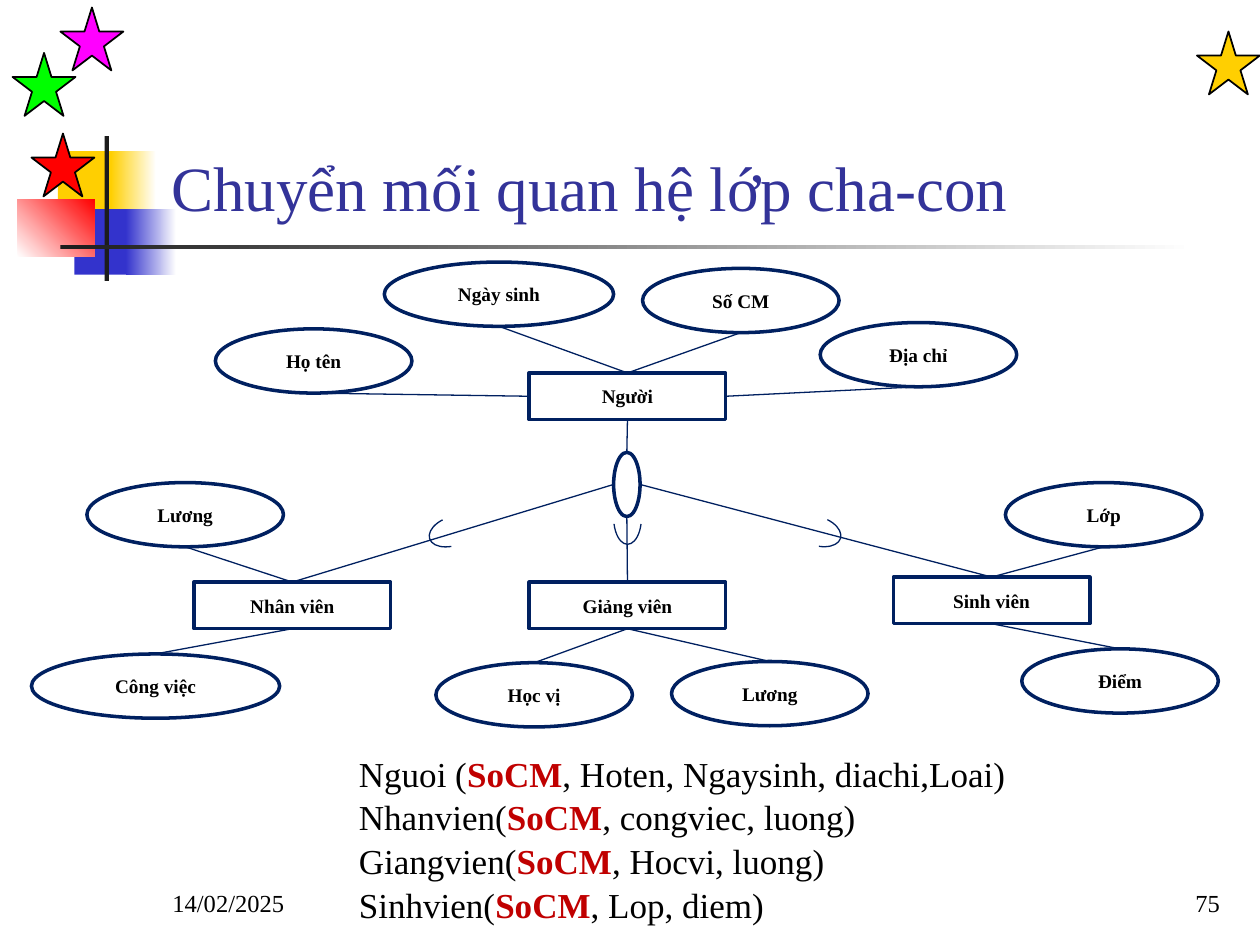
from typing import NamedTuple, Optional

from lxml import etree
from pptx import Presentation
from pptx.dml.color import RGBColor
from pptx.enum.shapes import MSO_CONNECTOR, MSO_SHAPE
from pptx.enum.text import MSO_ANCHOR, MSO_AUTO_SIZE, PP_ALIGN
from pptx.oxml.ns import qn
from pptx.util import Inches, Pt

RECT, OVAL = MSO_SHAPE.RECTANGLE, MSO_SHAPE.OVAL
STAR, ARC = MSO_SHAPE.STAR_5_POINT, MSO_SHAPE.ARC
STRAIGHT = MSO_CONNECTOR.STRAIGHT
LEFT, CENTER, RIGHT = PP_ALIGN.LEFT, PP_ALIGN.CENTER, PP_ALIGN.RIGHT
TOP_ANCHOR, MIDDLE, BOTTOM_ANCHOR = MSO_ANCHOR.TOP, MSO_ANCHOR.MIDDLE, MSO_ANCHOR.BOTTOM
TOP_SIDE, LEFT_SIDE, BOTTOM_SIDE, RIGHT_SIDE = range(4)

SLIDE_W, SLIDE_H = Inches(10), Inches(7.5)
COL, ROW = SLIDE_W / 100, SLIDE_H / 75
FONT = "Times New Roman"
BLACK, WHITE, NAVY, KEY_RED = "000000", "FFFFFF", "002060", "C00000"
TITLE_BLUE, YELLOW, BLUE, RED, DARK = "333399", "FFCF01", "3333CC", "FF0000", "1C1C1C"
NODE_W, ENTITY_H, ATTRIBUTE_H = 15.6, 3.7, 5.1


class Box(NamedTuple):
    """Left, top, width and height in grid columns and rows."""
    col: float
    row: float
    cols: float
    rows: float

    def emu(self):
        return (round(self.col * COL), round(self.row * ROW),
                round(self.cols * COL), round(self.rows * ROW))


class Bar(NamedTuple):
    box: Box
    color: str
    fade_to: Optional[str] = None
    angle: int = 0


class Star(NamedTuple):
    col: float
    row: float
    color: str


class Entity(NamedTuple):
    label: str
    col: float
    row: float


class Attribute(NamedTuple):
    label: str
    entity: str
    side: int
    col: float
    row: float
    cols: float = NODE_W


class Subclass(NamedTuple):
    entity: str
    start_col: float
    start_row: float
    arc: Box
    turn: float


class Run(NamedTuple):
    text: str
    color: str = BLACK
    bold: bool = False


BARS = [
    Bar(Box(4.6, 12, 4.8, 5.2), YELLOW),
    Bar(Box(8.8, 12, 3.6, 5.2), YELLOW, WHITE),
    Bar(Box(5.9, 16.6, 4.6, 5.2), BLUE),
    Bar(Box(10, 16.6, 4, 5.2), BLUE, WHITE),
    Bar(Box(1.4, 15.8, 6.1, 4.6), WHITE, RED, 45),
    Bar(Box(8.3, 10.8, 0.35, 11.5), DARK),
    Bar(Box(4.8, 19.45, 90, 0.35), DARK, WHITE),
]
STARS = [Star(95, 2.5, YELLOW), Star(2.5, 10.6, RED),
         Star(1, 4.2, "00FF00"), Star(4.8, 0.6, "FF00FF")]
ENTITIES = [Entity("Người", 42, 29.6), Entity("Sinh viên", 70.9, 45.8),
            Entity("Giảng viên", 42, 46.2), Entity("Nhân viên", 15.4, 46.2)]
ATTRIBUTES = [
    Attribute("Họ tên", "Người", LEFT_SIDE, 17.1, 26.1),
    Attribute("Ngày sinh", "Người", TOP_SIDE, 30.5, 20.8, 18.2),
    Attribute("Số CM", "Người", TOP_SIDE, 51, 21.3),
    Attribute("Địa chỉ", "Người", RIGHT_SIDE, 65.1, 25.6),
    Attribute("Lương", "Nhân viên", TOP_SIDE, 6.9, 38.3),
    Attribute("Công việc", "Nhân viên", BOTTOM_SIDE, 2.5, 51.9, 19.7),
    Attribute("Học vị", "Giảng viên", BOTTOM_SIDE, 34.6, 52.6),
    Attribute("Lương", "Giảng viên", BOTTOM_SIDE, 53.3, 52.5),
    Attribute("Lớp", "Sinh viên", TOP_SIDE, 79.8, 38.3),
    Attribute("Điểm", "Sinh viên", BOTTOM_SIDE, 81.1, 51.5),
]
HUB = Box(48.7, 35.9, 2.1, 5.1)
HUB_MID_COL, HUB_MID_ROW = HUB.col + HUB.cols / 2, HUB.row + HUB.rows / 2
SUBCLASSES = [
    Subclass("Nhân viên", HUB.col, HUB_MID_ROW, Box(34, 41, 3.9, 2.3), 161.6),
    Subclass("Giảng viên", HUB_MID_COL, HUB.row + HUB.rows, Box(47.7, 40, 4.2, 2.2), 90),
    Subclass("Sinh viên", HUB.col + HUB.cols, HUB_MID_ROW, Box(62.9, 41, 3.9, 2.3), 17.5),
]
RELATIONS = [("Nguoi", "Hoten, Ngaysinh, diachi,Loai"), ("Nhanvien", "congviec, luong"),
             ("Giangvien", "Hocvi, luong"), ("Sinhvien", "Lop, diem")]


def rgb(color: str) -> RGBColor:
    return RGBColor.from_string(color)


def write(frame, paragraphs: list[list[Run]], *, size: float, align=LEFT,
          anchor=TOP_ANCHOR, wrap=True, indent: float = 0, after: float = 0) -> None:
    frame.word_wrap, frame.vertical_anchor = wrap, anchor
    frame.auto_size = MSO_AUTO_SIZE.NONE
    for index, runs in enumerate(paragraphs):
        paragraph = frame.add_paragraph() if index else frame.paragraphs[0]
        paragraph.alignment, paragraph.space_after = align, Pt(after)
        if indent:
            properties = paragraph._p.get_or_add_pPr()
            properties.set("marL", str(round(indent * COL)))
            properties.set("indent", "0")
        for piece in runs:
            run = paragraph.add_run()
            run.text = piece.text
            run.font.name, run.font.size = FONT, Pt(size)
            run.font.bold, run.font.color.rgb = piece.bold, rgb(piece.color)


def add_figure(slide, kind, box: Box, fill: Optional[str] = None,
               line: Optional[str] = None, weight: float = 0):
    figure = slide.shapes.add_shape(kind, *box.emu())
    figure.shadow.inherit = False
    if fill:
        figure.fill.solid()
        figure.fill.fore_color.rgb = rgb(fill)
    else:
        figure.fill.background()
    if line:
        figure.line.color.rgb, figure.line.width = rgb(line), Pt(weight)
    else:
        figure.line.fill.background()
    return figure


def add_bar(slide, bar: Bar) -> None:
    figure = add_figure(slide, RECT, bar.box, bar.color)
    if bar.fade_to:
        figure.fill.gradient()
        figure.fill.gradient_angle = bar.angle
        for stop, color in zip(figure.fill.gradient_stops, (bar.color, bar.fade_to)):
            stop.color.rgb = rgb(color)


def add_node(slide, kind, box: Box, label: str):
    node = add_figure(slide, kind, box, WHITE, NAVY, 2)
    write(node.text_frame, [[Run(label, bold=True)]], size=11, align=CENTER,
          anchor=MIDDLE, wrap=False)
    return node


def add_link(slide, entity, side: int, col: float, row: float):
    """Join the middle of an entity's side to a free point on the grid."""
    x, y = round(col * COL), round(row * ROW)
    link = slide.shapes.add_connector(STRAIGHT, x, y, x, y)
    link.begin_connect(entity, side)
    link.line.color.rgb, link.line.width = rgb(NAVY), Pt(0.75)
    etree.SubElement(link._element.spPr, qn("a:effectLst"))


def add_note(slide, box: Box, paragraphs: list[list[Run]], **text_format) -> None:
    write(slide.shapes.add_textbox(*box.emu()).text_frame, paragraphs, **text_format)


def main() -> None:
    deck = Presentation()
    deck.slide_width, deck.slide_height = SLIDE_W, SLIDE_H
    slide = deck.slides.add_slide(deck.slide_layouts[5])

    title = slide.shapes.title
    title.left, title.top, title.width, title.height = Box(12.6, 2.3, 85.2, 16).emu()
    write(title.text_frame, [[Run("Chuyển mối quan hệ lớp cha-con", TITLE_BLUE)]],
          size=36, anchor=BOTTOM_ANCHOR)

    for bar in BARS:
        add_bar(slide, bar)
    for star in STARS:
        add_figure(slide, STAR, Box(star.col, star.row, 5, 5), star.color, BLACK, 1)

    add_figure(slide, OVAL, HUB, WHITE, NAVY, 2)
    entities = {e.label: add_node(slide, RECT, Box(e.col, e.row, NODE_W, ENTITY_H), e.label)
                for e in ENTITIES}
    add_link(slide, entities["Người"], BOTTOM_SIDE, HUB_MID_COL, HUB.row)
    for sub in SUBCLASSES:
        add_link(slide, entities[sub.entity], TOP_SIDE, sub.start_col, sub.start_row)
        arc = add_figure(slide, ARC, sub.arc, line=NAVY, weight=0.75)
        arc.rotation = sub.turn
        arc.adjustments[0], arc.adjustments[1] = 176.69, 39.52

    for attribute in ATTRIBUTES:
        box = Box(attribute.col, attribute.row, attribute.cols, ATTRIBUTE_H)
        add_node(slide, OVAL, box, attribute.label)
        edge = box.row if attribute.side == BOTTOM_SIDE else box.row + box.rows
        add_link(slide, entities[attribute.entity], attribute.side,
                 box.col + box.cols / 2, edge)

    add_note(slide, Box(24.2, 59.2, 64.1, 14.5),
             [[Run(f"{name} (" if name == "Nguoi" else f"{name}("),
               Run("SoCM", KEY_RED, True), Run(f", {fields})")]
              for name, fields in RELATIONS], size=20, indent=3.3, after=1)
    add_note(slide, Box(12.7, 68.3, 20.8, 5), [[Run("14/02/2025")]],
             size=14, anchor=BOTTOM_ANCHOR)
    add_note(slide, Box(77, 68.3, 20.8, 5), [[Run("75")]],
             size=14, align=RIGHT, anchor=BOTTOM_ANCHOR)
    deck.save("out.pptx")


if __name__ == "__main__":
    main()
